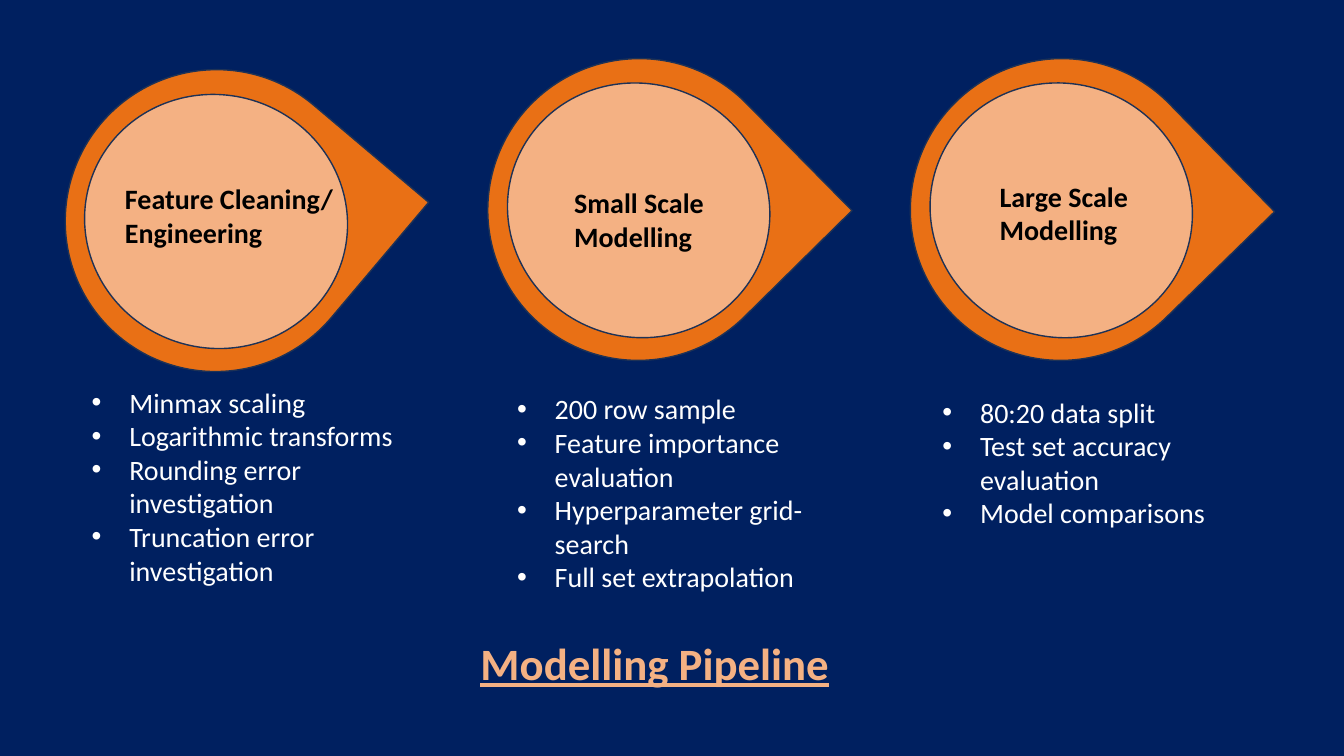
"""Build the Modelling Pipeline slide: three teardrop stages with bullet lists."""
from dataclasses import dataclass

from lxml.etree import SubElement
from pptx import Presentation
from pptx.dml.color import RGBColor
from pptx.enum.shapes import MSO_SHAPE as Shp
from pptx.oxml.ns import qn
from pptx.util import Cm, Pt

COLORS = {
    "navy": "002060",
    "orange": "E97015",
    "peach": "F4B183",
    "edge": "1E3256",
    "black": "000000",
    "white": "FFFFFF",
}
LABEL = {"size": Pt(20), "bold": True}
BULLET = {"size": Pt(20), "bold": False}
TITLE = {"size": Pt(32), "bold": True, "underline": True}

DROP_LEFT, DROP_PITCH = 1.65, 10.65
LIST_LEFT, LIST_PITCH = 2.06, 10.72
DISC_TURN = 156.85
INDENT = 0.95


@dataclass
class Box:
    left: float
    top: float
    width: float
    height: float

    def lengths(self) -> tuple:
        return Cm(self.left), Cm(self.top), Cm(self.width), Cm(self.height)


@dataclass
class Stage:
    drop_top: float
    turn: float
    label: list[str]
    label_box: Box
    list_top: float
    list_height: float
    points: list[str]


STAGES = [
    Stage(1.75, 40.2, ["Feature Cleaning/", "Engineering"],
          Box(2.9, 4.45, 5.84, 1.96), 9.58, 5.38,
          ["Minmax scaling", "Logarithmic transforms",
           "Rounding error investigation", "Truncation error investigation"]),
    Stage(1.47, 45.4, ["Small Scale Modelling"],
          Box(14.22, 4.55, 3.94, 1.96), 9.75, 5.38,
          ["200 row sample", "Feature importance evaluation",
           "Hyperparameter grid-search", "Full set extrapolation"]),
    Stage(1.47, 45.7, ["Large Scale Modelling"],
          Box(24.94, 4.39, 3.86, 1.96), 9.83, 3.68,
          ["80:20 data split", "Test set accuracy evaluation", "Model comparisons"]),
]


def rgb(name: str) -> RGBColor:
    return RGBColor.from_string(COLORS[name])


def add_rounded(slide, kind: Shp, box: Box, turn: float, color: str) -> None:
    sp = slide.shapes.add_shape(kind, *box.lengths())
    sp.rotation = turn
    sp.shadow.inherit = False
    sp.fill.solid()
    sp.fill.fore_color.rgb = rgb(color)
    sp.line.color.rgb = rgb("edge")
    sp.line.width = Pt(1)


def add_bullet(p) -> None:
    pPr = p._p.get_or_add_pPr()
    pPr.set("marL", str(Cm(INDENT)))
    pPr.set("indent", str(-Cm(INDENT)))
    SubElement(pPr, qn("a:buFont"), typeface="Arial")
    SubElement(pPr, qn("a:buChar"), char="•")


def add_text(slide, box: Box, lines: list[str], fmt: dict, color: str,
             bulleted: bool = False) -> None:
    tf = slide.shapes.add_textbox(*box.lengths()).text_frame
    tf.word_wrap = True
    for i, line in enumerate(lines):
        p = tf.add_paragraph() if i else tf.paragraphs[0]
        if bulleted:
            add_bullet(p)
        r = p.add_run()
        r.text = line
        r.font.name = "Calibri"
        r.font.color.rgb = rgb(color)
        for name, value in fmt.items():
            setattr(r.font, name, value)


def add_stage(slide, index: int, stage: Stage) -> None:
    left = DROP_LEFT + index * DROP_PITCH
    drop = Box(left, stage.drop_top, 7.59, 7.62)
    disc = Box(left + 0.47, stage.drop_top + 0.64, 6.65, 6.38)
    points = Box(LIST_LEFT + index * LIST_PITCH, stage.list_top, 8.23, stage.list_height)
    add_rounded(slide, Shp.TEAR, drop, stage.turn, "orange")
    add_rounded(slide, Shp.FLOWCHART_CONNECTOR, disc, stage.turn + DISC_TURN, "peach")
    add_text(slide, stage.label_box, stage.label, LABEL, "black")
    add_text(slide, points, stage.points, BULLET, "white", bulleted=True)


def main() -> None:
    prs = Presentation()
    prs.slide_width, prs.slide_height = Cm(33.87), Cm(19.05)
    slide = prs.slides.add_slide(prs.slide_layouts[6])
    slide.background.fill.solid()
    slide.background.fill.fore_color.rgb = rgb("navy")
    for i, stage in enumerate(STAGES):
        add_stage(slide, i, stage)
    add_text(slide, Box(11.86, 15.9, 9.45, 1.63), ["Modelling Pipeline"], TITLE, "peach")
    prs.save("out.pptx")


if __name__ == "__main__":
    main()
